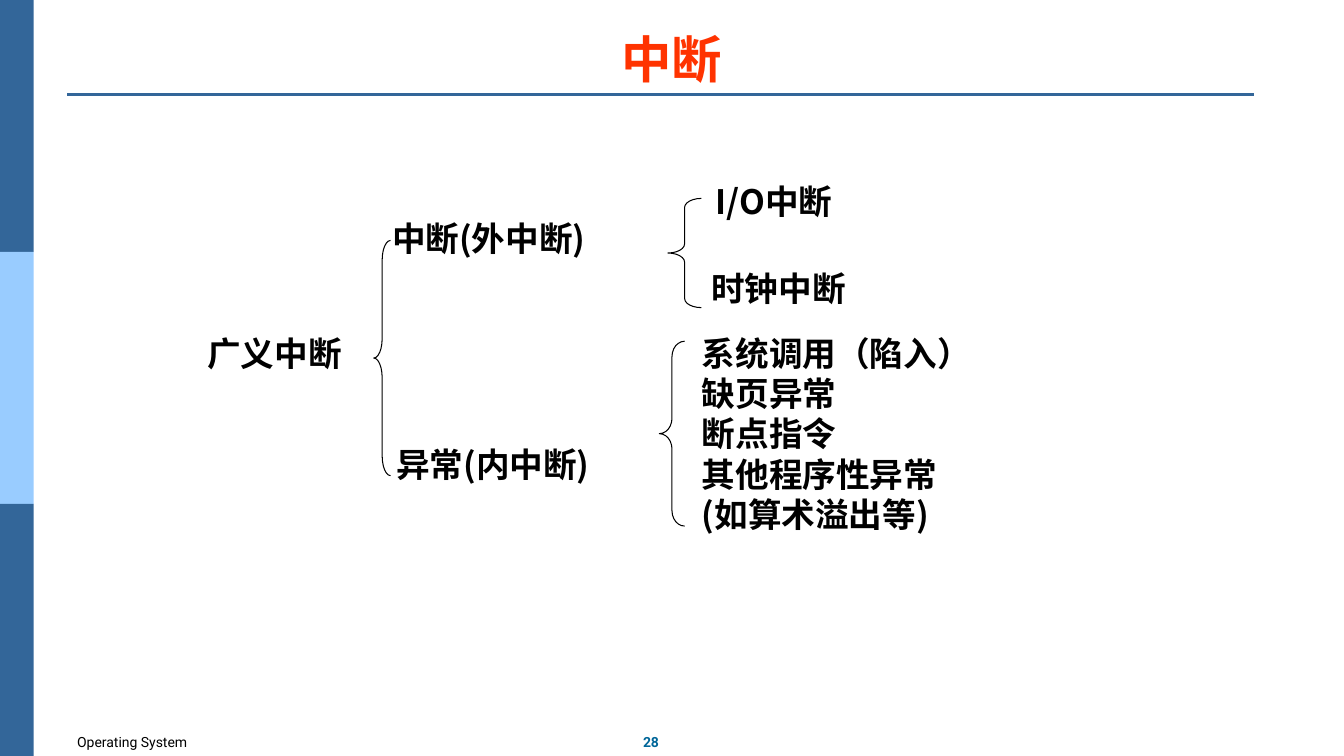
import pptx
import pptx.util
import pptx.dml.color
import pptx.enum.shapes
import pptx.enum.text
import pptx.oxml.ns
from lxml import etree

PX = 9525  # EMU per px, 96 px to the inch
RGB = pptx.dml.color.RGBColor
NAVY = RGB(0x33, 0x66, 0x99)
SKY = RGB(0x99, 0xCC, 0xFF)
TEAL = RGB(0x00, 0x66, 0x99)
ORANGE = RGB(0xFF, 0x33, 0x00)
BLACK = RGB(0, 0, 0)
CJK = "Noto Sans CJK SC"
SHAPE = pptx.enum.shapes.MSO_SHAPE
ALIGN = pptx.enum.text.PP_ALIGN
ANCHOR = pptx.enum.text.MSO_ANCHOR


def write(holder, text, size=24, font=CJK, color=BLACK, bold=True,
          align=ALIGN.LEFT, anchor=ANCHOR.TOP, wrap=True):
    frame = holder.text_frame
    frame.text = text
    frame.word_wrap = wrap
    frame.auto_size = pptx.enum.text.MSO_AUTO_SIZE.NONE
    frame.vertical_anchor = anchor
    for paragraph in frame.paragraphs:
        paragraph.alignment = align
        for run in paragraph.runs:
            run.font.size = pptx.util.Pt(size)
            run.font.name = font
            run.font.bold = bold
            run.font.color.rgb = color
            east_asian = etree.SubElement(run.font._element, pptx.oxml.ns.qn("a:ea"))
            east_asian.set("typeface", CJK)


def box(*lengths):
    return [length * PX for length in lengths]


prs = pptx.Presentation()
prs.slide_width, prs.slide_height = box(1280, 720)
slide = prs.slides.add_slide(prs.slide_layouts[5])
shapes = slide.shapes

# Side band and title rule
for row, color in enumerate([NAVY, SKY, NAVY]):
    band = shapes.add_shape(SHAPE.RECTANGLE, *box(0, row * 240, 32, 240))
    band.shadow.inherit = False
    band.fill.solid()
    band.fill.fore_color.rgb = color
    band.line.fill.background()

rule = shapes.add_connector(pptx.enum.shapes.MSO_CONNECTOR.STRAIGHT, *box(64, 90, 1194, 90))
rule.line.color.rgb = NAVY
rule.line.width = pptx.util.Pt(1.5)
etree.SubElement(rule._element.spPr, pptx.oxml.ns.qn("a:effectLst"))

title = shapes.title
title.left, title.top, title.width, title.height = box(64, 29, 1152, 60)
write(title, "中断", size=36, font="Arial", color=ORANGE,
      align=ALIGN.CENTER, anchor=ANCHOR.BOTTOM)

# Footer
write(shapes.add_textbox(*box(64, 694, 238, 27)), "Operating System",
      size=10, font="Roboto", bold=False)
write(shapes.add_textbox(*box(602, 694, 36, 26)), "28", size=10, font="Roboto",
      color=TEAL, align=ALIGN.CENTER, wrap=False)

# Classification tree
for left, top, width, height, curl in [
    (356, 229, 16, 224, 1.17),
    (636, 189, 32, 104, 0.27),
    (628, 325, 24, 176, 0.61),
]:
    brace = shapes.add_shape(SHAPE.LEFT_BRACE, *box(left, top, width, height))
    brace.adjustments[0] = curl
    brace.shadow.inherit = False
    brace.fill.background()
    brace.line.color.rgb = BLACK
    brace.line.width = pptx.util.Pt(0.75)

exceptions = ["系统调用（陷入）", "缺页异常", "断点指令", "其他程序性异常", "(如算术溢出等)"]
for left, top, width, height, label, font in [
    (188, 312, 149, 49, "广义中断", "Times New Roman"),
    (364, 203, 214, 49, "中断(外中断)", CJK),
    (368, 418, 245, 49, "异常(内中断)", CJK),
    (672, 168, 224, 49, "I/O中断", CJK),
    (668, 250, 256, 49, "时钟中断", CJK),
    (659, 312, 279, 204, "\n".join(exceptions), CJK),
]:
    write(shapes.add_textbox(*box(left, top, width, height)), label, font=font)

prs.save("out.pptx")
